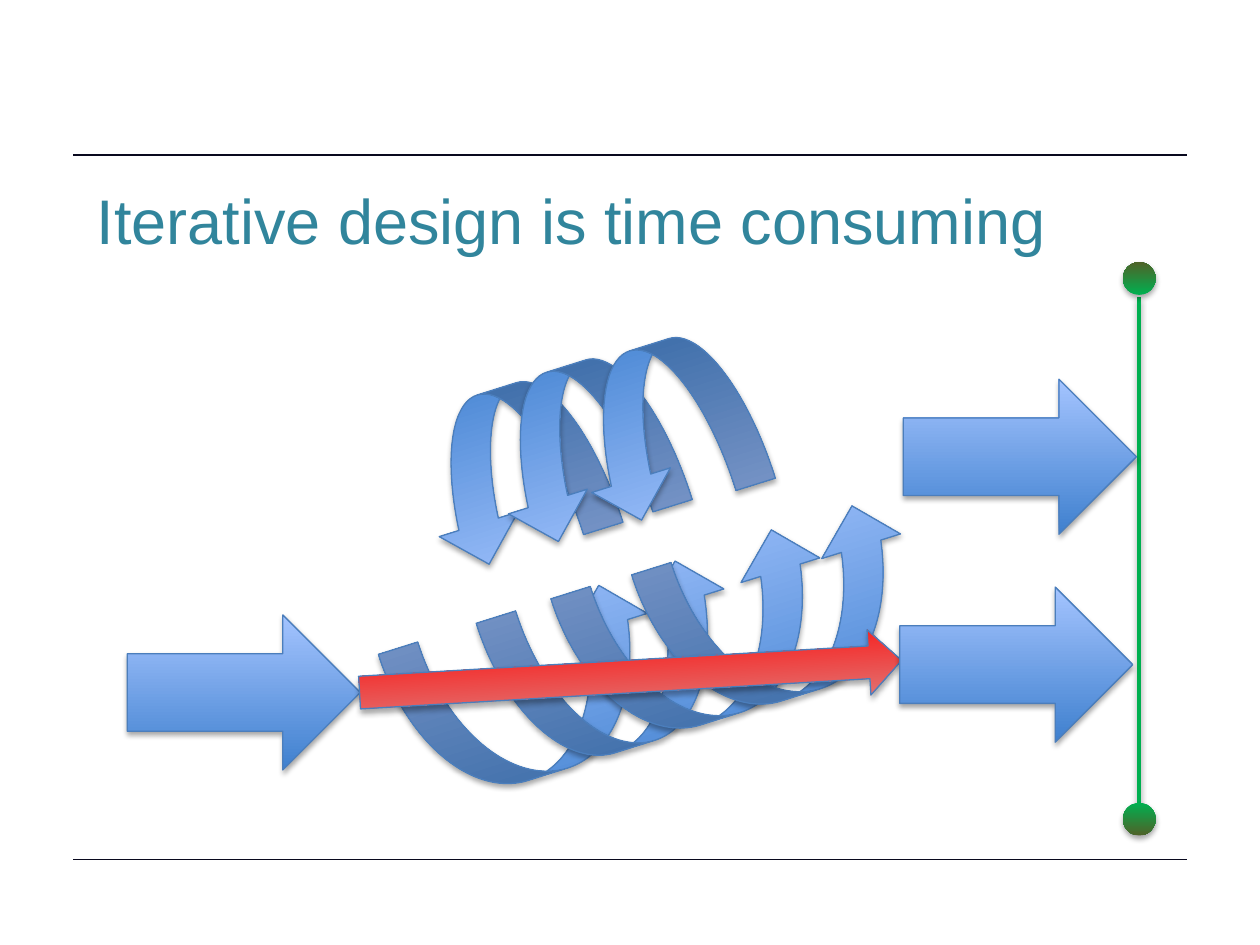
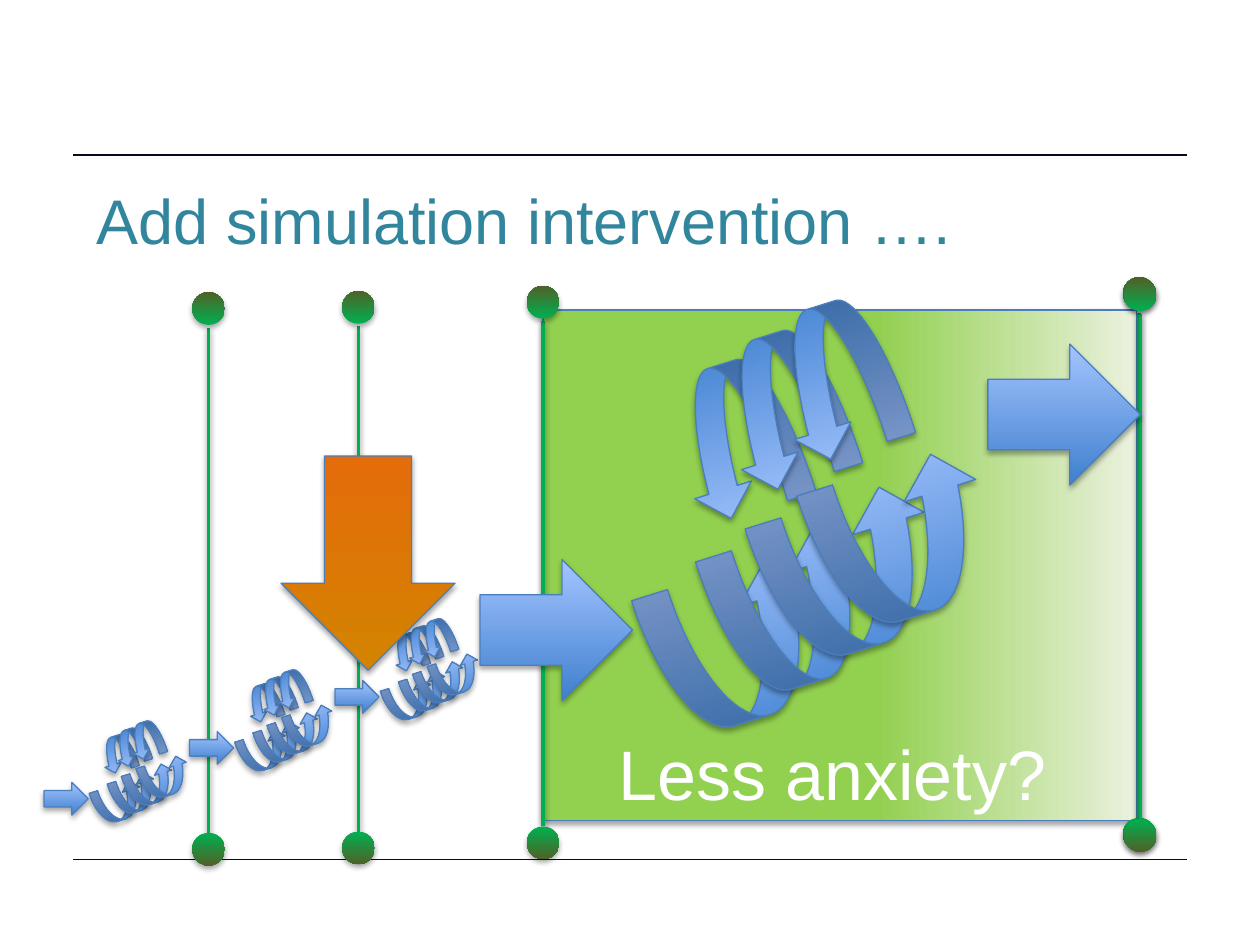
"""Build two slides on iterative design and simulation intervention."""
from lxml import etree
from pptx import Presentation
from pptx.dml.color import RGBColor
from pptx.enum.shapes import MSO_CONNECTOR, MSO_SHAPE
from pptx.enum.text import MSO_ANCHOR, PP_ALIGN
from pptx.oxml.ns import qn
from pptx.util import Pt

STRAIGHT = MSO_CONNECTOR.STRAIGHT
RIGHT_ARROW = MSO_SHAPE.RIGHT_ARROW
DOWN_ARROW = MSO_SHAPE.DOWN_ARROW
CURVED_ARROW = MSO_SHAPE.CURVED_UP_ARROW
RECTANGLE = MSO_SHAPE.RECTANGLE
OVAL = MSO_SHAPE.OVAL

FONT = "Arial"
TEAL = RGBColor(0x31, 0x85, 0x9C)
WHITE = RGBColor(0xFF, 0xFF, 0xFF)
RULE_COLOR = RGBColor(0x09, 0x09, 0x1E)
OUTLINE = RGBColor(0x4B, 0x7E, 0xBC)
GATE_GREEN = RGBColor(0x00, 0xB0, 0x50)
BLUES = (RGBColor(0x3F, 0x80, 0xCE), RGBColor(0xA4, 0xC4, 0xFF))
GREENS = (GATE_GREEN, RGBColor(0x4F, 0x62, 0x28))
REDS = (RGBColor(0xD9, 0x96, 0x94), RGBColor(0xFF, 0x00, 0x00))
ORANGES = (RGBColor(0xD3, 0x83, 0x00), RGBColor(0xE4, 0x6C, 0x0A))
LIMES = (RGBColor(0x92, 0xD0, 0x50), RGBColor(0xEB, 0xF1, 0xDE))

LOWER_TURN, UPPER_TURN = 342.6, 162.6
WIDE_COIL = [
    (0, 0, 155.5, LOWER_TURN), (13.7, -126.7, 103.7, UPPER_TURN),
    (56.2, -15.8, 142.6, LOWER_TURN), (53.3, -139.7, 103.7, UPPER_TURN),
    (98.6, -31.7, 155.5, LOWER_TURN), (100.8, -151.9, 103.7, UPPER_TURN),
    (144.7, -45.4, 155.5, LOWER_TURN),
]
TIGHT_COIL = [
    (0, 0, 101.5, LOWER_TURN), (15.8, -118.8, 67.7, UPPER_TURN),
    (36.7, -20.9, 92.9, LOWER_TURN), (42.5, -135.4, 67.7, UPPER_TURN),
    (64.8, -41, 101.5, LOWER_TURN), (72.7, -152.6, 67.7, UPPER_TURN),
    (94.3, -59.8, 101.5, LOWER_TURN),
]
DOT = 18.7


def add_shadow(effects, opacity):
    """Add a soft shadow below to an effect list."""
    shadow = etree.SubElement(effects, qn("a:outerShdw"), blurRad="40000",
                              dist="23000", dir="5400000", rotWithShape="0")
    black = etree.SubElement(shadow, qn("a:srgbClr"), val="000000")
    etree.SubElement(black, qn("a:alpha"), val=str(opacity * 1000))


def add_gradient_shape(slide, preset, box, colors, rotation=0, angle=90):
    """Add a shadowed preset shape with a two-colour gradient."""
    shape = slide.shapes.add_shape(preset, *[Pt(length) for length in box])
    shape.rotation = rotation
    shape.fill.gradient()
    shape.fill.gradient_angle = angle
    for stop, color in zip(shape.fill.gradient_stops, colors):
        stop.color.rgb = color
    shape.line.color.rgb = OUTLINE
    shape.line.width = Pt(0.75)
    shape.shadow.inherit = False
    add_shadow(shape._element.spPr.find(qn("a:effectLst")), 35)
    return shape


prs = Presentation()
prs.slide_width, prs.slide_height = Pt(720), Pt(540)

for heading in ("Iterative design is time consuming", "Add simulation intervention …."):
    slide = prs.slides.add_slide(prs.slide_layouts[5])
    for rule_y in (88.6, 491):
        rule = slide.shapes.add_connector(STRAIGHT, Pt(41.8), Pt(rule_y), Pt(678.2), Pt(rule_y))
        rule.line.color.rgb = RULE_COLOR
        rule.line.width = Pt(0.75)
        etree.SubElement(rule._element.spPr, qn("a:effectLst"))
    title = slide.shapes.title
    title.left, title.top, title.width, title.height = Pt(48.2), Pt(100), Pt(601.2), Pt(51)
    title.text_frame.text = heading
    title.text_frame.vertical_anchor = MSO_ANCHOR.MIDDLE
    title.text_frame.paragraphs[0].alignment = PP_ALIGN.LEFT
    title_font = title.text_frame.paragraphs[0].runs[0].font
    title_font.name, title_font.size = FONT, Pt(36)
    title_font.color.rgb = TEAL

iterative, simulation = prs.slides

relief_panel = add_gradient_shape(simulation, RECTANGLE, (310.3, 177.1, 339.1, 291.6), LIMES, angle=0)
relief_panel.fill.gradient_stops[0].position = 0.56

gates = [(iterative, 651, 149.8), (simulation, 651, 158.4), (simulation, 651.6, 159.1),
         (simulation, 310.3, 163.4), (simulation, 204.8, 166.3), (simulation, 119.2, 167)]
for slide, x, top in gates:
    line_top, line_bottom = top + 20.2, top + 308.9
    gate = slide.shapes.add_connector(STRAIGHT, Pt(x), Pt(line_bottom), Pt(x), Pt(line_top))
    gate.line.color.rgb = GATE_GREEN
    gate.line.width = Pt(2)
    add_shadow(etree.SubElement(gate._element.spPr, qn("a:effectLst")), 38)
    for dot_top, rotation in ((top, 0), (line_bottom, 180)):
        dot = add_gradient_shape(slide, OVAL, (x - DOT / 2, dot_top, DOT, DOT), GREENS, rotation)
        dot.line.fill.background()

coils = [(iterative, WIDE_COIL, 226.8, 348.5, 94.3, 1, 1)]
for step in range(3):
    coils.append((simulation, TIGHT_COIL, 53.3 + 83.2 * step, 448.6 - 29.2 * step, 20.2, 0.284, 0.236))
coils.append((simulation, TIGHT_COIL, 371.5, 326.2, 85.7, 1, 1))
for slide, turns, x, y, height, scale_x, scale_y in coils:
    for dx, dy, width, rotation in turns:
        box = (x + dx * scale_x, y + dy * scale_y, width * scale_x, height)
        add_gradient_shape(slide, CURVED_ARROW, box, BLUES, rotation)

for x, y in ((72.7, 351.4), (516.2, 216.7)):
    add_gradient_shape(iterative, RIGHT_ARROW, (x, y, 133.2, 88.6), BLUES)
add_gradient_shape(iterative, RIGHT_ARROW, (205.2, 367.9, 310.3, 37.4), REDS, 356.6)
add_gradient_shape(iterative, RIGHT_ARROW, (514.1, 335.5, 133.2, 88.6), BLUES)

for step in range(3):
    box = (25.2 + 83.1 * step, 447.1 - 29.1 * step, 25.2, 18.7)
    add_gradient_shape(simulation, RIGHT_ARROW, box, BLUES)
for x, y in ((274.3, 319.7), (564.5, 196.6)):
    add_gradient_shape(simulation, RIGHT_ARROW, (x, y, 87.1, 80.6), BLUES)

question = simulation.shapes.add_textbox(Pt(346.3), Pt(414), Pt(261.4), Pt(55.4))
question.text_frame.word_wrap = False
question.text_frame.text = "Less anxiety?"
question_font = question.text_frame.paragraphs[0].runs[0].font
question_font.name, question_font.size = FONT, Pt(40)
question_font.color.rgb = WHITE

add_gradient_shape(simulation, DOWN_ARROW, (160.6, 260.6, 99.4, 122.4), ORANGES)

prs.save("out.pptx")
